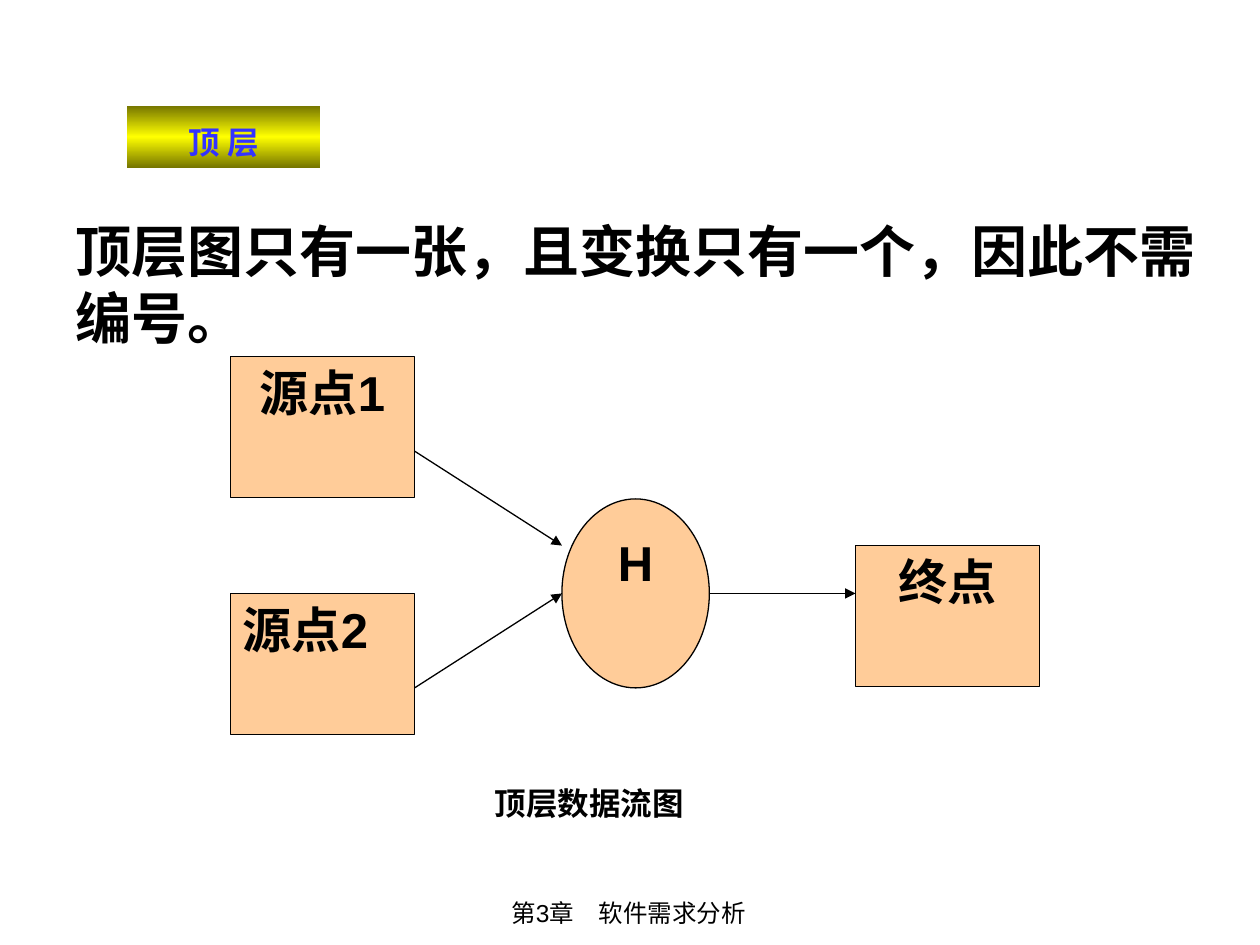
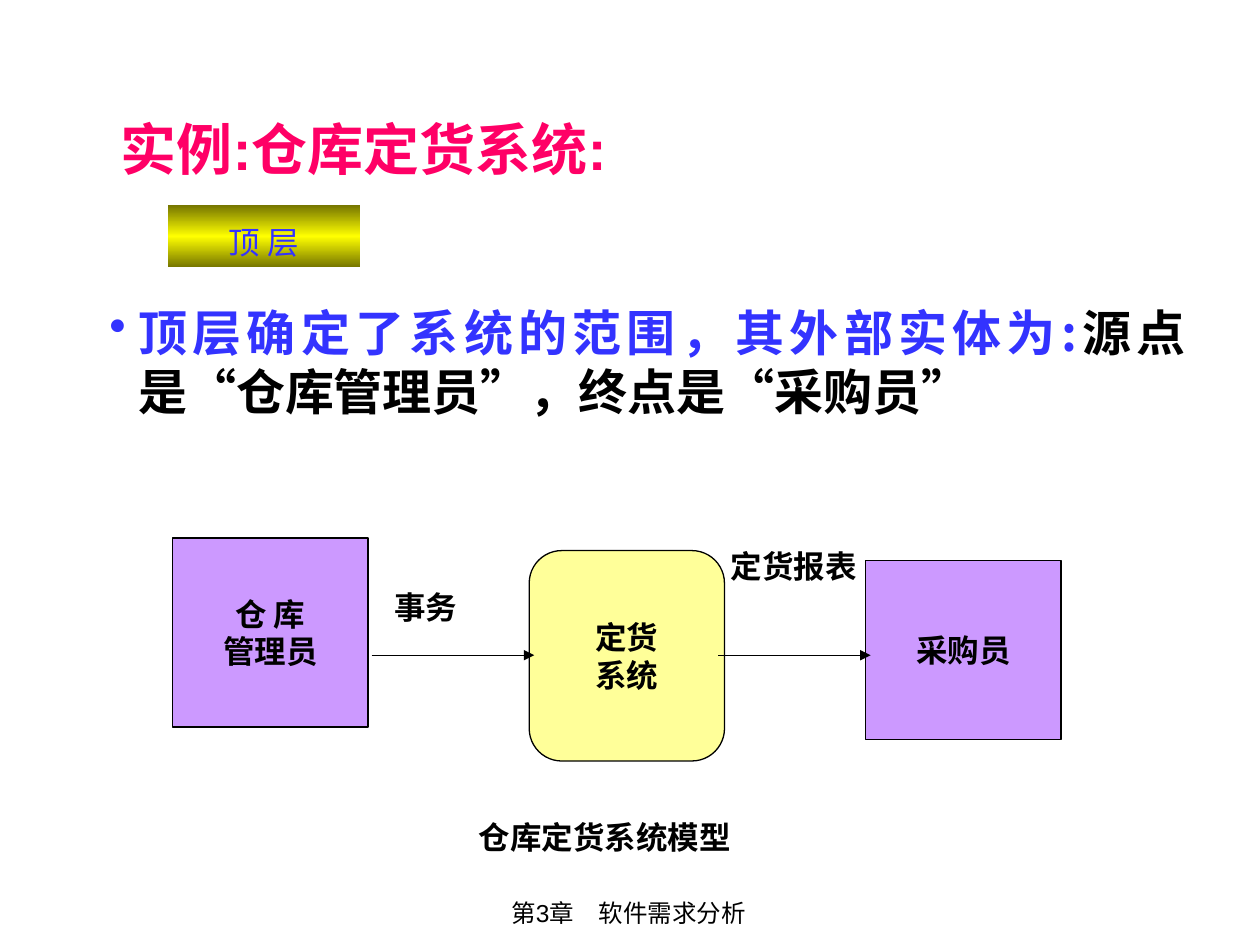
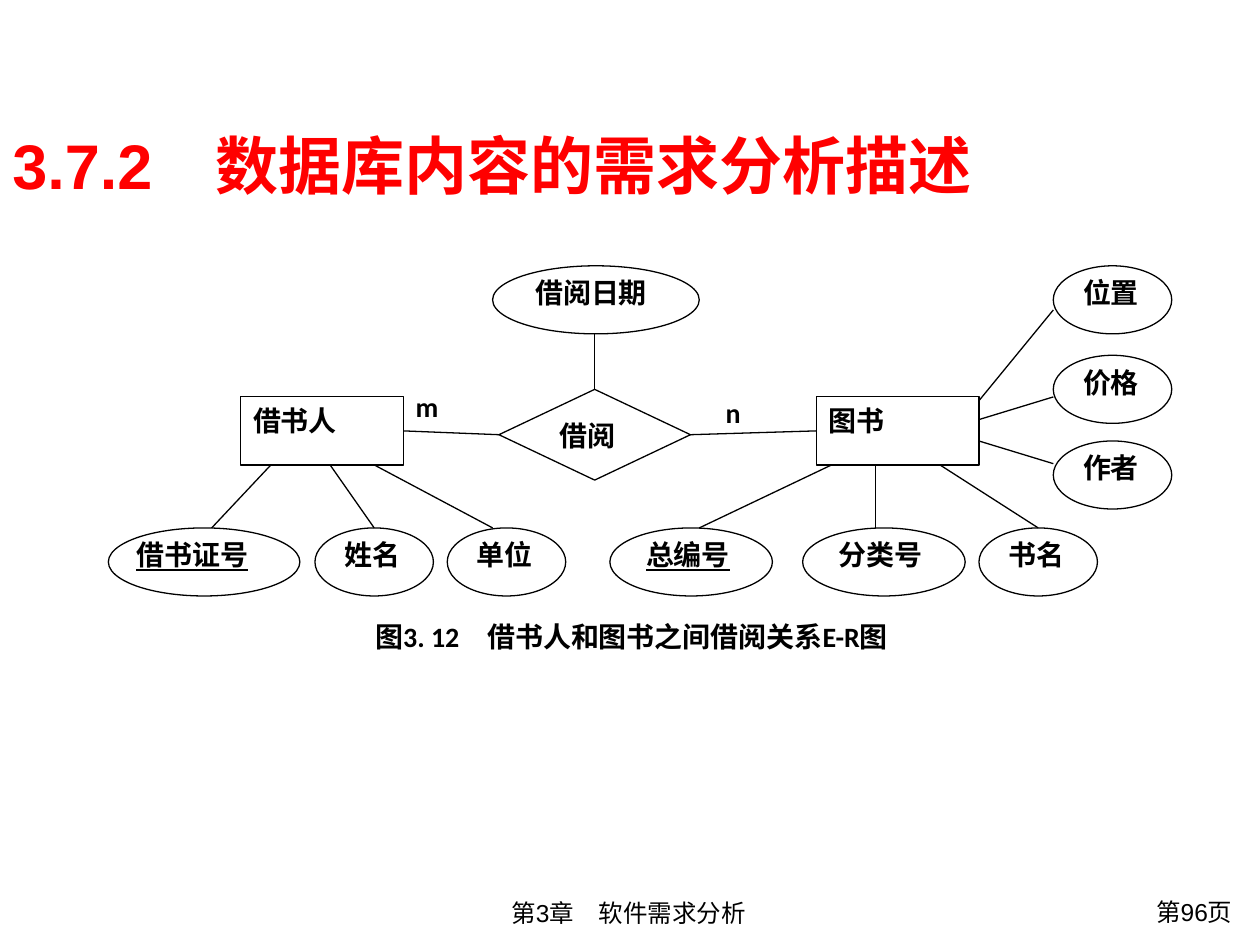
from copy import deepcopy

from lxml import etree
from pptx import Presentation
from pptx.dml.color import RGBColor
from pptx.enum.shapes import MSO_CONNECTOR, MSO_SHAPE as SHAPE
from pptx.enum.text import MSO_ANCHOR as ANCHOR, PP_ALIGN as ALIGN
from pptx.oxml.ns import qn
from pptx.util import Inches, Pt

# Shared style
BLACK = RGBColor(0x00, 0x00, 0x00)
WHITE = RGBColor(0xFF, 0xFF, 0xFF)
RED = RGBColor(0xFF, 0x00, 0x00)
PINK = RGBColor(0xFF, 0x00, 0x66)
BLUE = RGBColor(0x33, 0x33, 0xFF)
ORANGE = RGBColor(0xFF, 0xCC, 0x99)
PURPLE = RGBColor(0xCC, 0x99, 0xFF)
PALE_YELLOW = RGBColor(0xFF, 0xFF, 0x99)
YELLOW = RGBColor(0xFF, 0xFF, 0x00)
OLIVE = RGBColor(0x76, 0x76, 0x00)
CJK_FONT = "Noto Sans CJK SC"
QUOTE_FONT = "Times New Roman"
ER_STYLE = {"size": 16, "font": "Calibri"}
LINE_WIDTH = Pt(0.75)
FOOTER = "第3章　软件需求分析"
BADGE = "顶 层"

# Slide 1: top-level data flow diagram
FLOW_STATEMENT = "顶层图只有一张，且变换只有一个，因此不需编号。"
FLOW_CAPTION = "顶层数据流图"
FLOW_NODES = [  # text, preset, box, alignment
    ("H", SHAPE.OVAL, (4.46, 3.96, 1.17, 1.5), ALIGN.CENTER),
    ("源点1", SHAPE.FLOWCHART_PROCESS, (1.83, 2.83, 1.46, 1.12), ALIGN.CENTER),
    ("源点2", SHAPE.FLOWCHART_PROCESS, (1.83, 4.71, 1.46, 1.12), ALIGN.LEFT),
    ("终点", SHAPE.FLOWCHART_PROCESS, (6.79, 4.33, 1.46, 1.12), ALIGN.CENTER),
]
FLOW_ARROWS = [
    (3.29, 3.58, 4.46, 4.33),
    (3.29, 5.46, 4.46, 4.71),
    (5.63, 4.71, 6.79, 4.71),
]

# Slide 2: warehouse ordering system
ORDER_TITLE = "实例:仓库定货系统:"
ORDER_STATEMENT = [  # text, colour, font
    ("顶层确定了系统的范围，其外部实体为:", BLUE, CJK_FONT),
    ("源点是", BLACK, CJK_FONT),
    ("“", BLACK, QUOTE_FONT),
    ("仓库管理员", BLACK, CJK_FONT),
    ("”", BLACK, QUOTE_FONT),
    ("，终点是", BLACK, CJK_FONT),
    ("“", BLACK, QUOTE_FONT),
    ("采购员", BLACK, CJK_FONT),
    ("”", BLACK, QUOTE_FONT),
]
ORDER_NODES = [  # text, preset, box, fill
    ("仓 库\n管理员", SHAPE.RECTANGLE, (1.37, 4.27, 1.55, 1.5), PURPLE),
    ("定货\n系统", SHAPE.ROUNDED_RECTANGLE, (4.2, 4.37, 1.55, 1.67), PALE_YELLOW),
    ("采购员", SHAPE.RECTANGLE, (6.87, 4.45, 1.55, 1.42), PURPLE),
]
ORDER_ARROWS = [(2.95, 5.2, 4.24, 5.2), (5.7, 5.2, 6.91, 5.2)]
ORDER_LABELS = [
    ("仓库定货系统模型", (3.7, 6.44, 3, 0.4)),
    ("事务", (3.03, 4.62, 1.12, 0.4)),
    ("定货报表", (5.7, 4.29, 1.21, 0.4)),
]

# Slide 3: entity-relationship diagram
ER_TITLE = "3.7.2　数据库内容的需求分析描述"
ER_CAPTION = "图3. 12　借书人和图书之间借阅关系E-R图"
PAGE_NUMBER = "第96页"
ENTITY_SIZE = (1.29, 0.54)
ENTITIES = {"borrower": ("借书人", 1.91, 3.15), "book": ("图书", 6.48, 3.15)}
RELATION = ("借阅", (3.96, 3.09, 1.52, 0.72))
ATTRIBUTE_HEIGHT = 0.54
ATTRIBUTES = [  # text, left, top, width
    ("借阅日期", 3.91, 2.11, 1.64),
    ("位置", 8.36, 2.11, 0.94),
    ("价格", 8.36, 2.82, 0.94),
    ("作者", 8.36, 3.5, 0.94),
    ("借书证号", 0.86, 4.19, 1.52),
    ("姓名", 2.5, 4.19, 0.94),
    ("单位", 3.55, 4.19, 0.94),
    ("总编号", 4.84, 4.19, 1.29),
    ("分类号", 6.37, 4.19, 1.29),
    ("书名", 7.77, 4.19, 0.94),
]
KEY_INSETS = {"借书证号": 0, "总编号": 0.1}  # underlined keys and left insets
LOWER_LINKS = [(2.15, 1.68), (2.62, 2.97), (2.97, 3.91),
               (6.6, 5.55), (6.95, 6.95), (7.46, 8.24)]  # x at entity, attribute
RIGHT_LINKS = [(3.18, 2.46), (3.33, 3.15), (3.5, 3.68)]  # y at book, attribute
CARDINALITIES = [("m", (3.2, 3.04, 0.82, 0.54)), ("n", (5.66, 3.09, 0.82, 0.54))]


def style_run(run, size, color=BLACK, bold=True, font="Arial", underline=None):
    run.font.size = Pt(size)
    run.font.bold = bold
    run.font.underline = underline
    run.font.name = font
    run.font.color.rgb = color
    east_asian = etree.SubElement(run._r.get_or_add_rPr(), qn("a:ea"))
    east_asian.set("typeface", CJK_FONT)


def set_frame(shape, anchor=ANCHOR.TOP, wrap=True, left=0.1, top=0.05):
    text_frame = shape.text_frame
    text_frame.word_wrap = wrap
    text_frame.vertical_anchor = anchor
    text_frame.margin_left, text_frame.margin_top = Inches(left), Inches(top)
    text_frame.margin_right, text_frame.margin_bottom = Inches(0.1), Inches(0.05)
    return text_frame


def write(shape, text, size, align=ALIGN.LEFT, frame=None, **run_style):
    text_frame = set_frame(shape, **(frame or {}))
    text_frame.text = text
    for paragraph in text_frame.paragraphs:
        paragraph.alignment = align
        for run in paragraph.runs:
            style_run(run, size, **run_style)


def add_text(slide, box, text, size, **style):
    shape = slide.shapes.add_textbox(*map(Inches, box))
    write(shape, text, size, **style)


def add_node(slide, preset, box, fill, text, size, line=BLACK, **style):
    shape = slide.shapes.add_shape(preset, *map(Inches, box))
    shape.shadow.inherit = False
    shape.fill.solid()
    shape.fill.fore_color.rgb = fill
    shape.line.color.rgb = line
    shape.line.width = LINE_WIDTH
    write(shape, text, size, **style)
    return shape


def add_line(slide, ends, arrow=False):
    line = slide.shapes.add_connector(MSO_CONNECTOR.STRAIGHT, *map(Inches, ends))
    line.line.color.rgb = BLACK
    line.line.width = LINE_WIDTH
    if arrow:
        tail = etree.SubElement(line.line._get_or_add_ln(), qn("a:tailEnd"))
        tail.set("type", "triangle")
    etree.SubElement(line._element.spPr, qn("a:effectLst"))
    return line


def add_badge(slide, left, top, bold):
    badge = slide.shapes.add_shape(
        SHAPE.RECTANGLE, *map(Inches, (left, top, 1.53, 0.49)))
    badge.shadow.inherit = False
    badge.line.fill.background()
    badge.fill.gradient()
    badge.fill.gradient_angle = 90
    stop_list = badge._element.spPr.find(".//" + qn("a:gsLst"))
    stop_list.insert(1, deepcopy(stop_list[0]))
    stops = zip(badge.fill.gradient_stops, (0, 0.5, 1), (OLIVE, YELLOW, OLIVE))
    for stop, position, color in stops:
        stop.position = position
        stop.color.rgb = color
    write(badge, BADGE, 18, align=ALIGN.CENTER, color=BLUE, bold=bold)
    badge.text_frame.paragraphs[0].line_spacing = 1.3


def new_slide(presentation):
    slide = presentation.slides.add_slide(presentation.slide_layouts[6])
    add_text(slide, (2.35, 7.08, 5.28, 0.34), FOOTER, 14,
             align=ALIGN.CENTER, bold=False)
    return slide


def build_flow_slide(presentation):
    slide = new_slide(presentation)
    for text, preset, box, align in FLOW_NODES:
        add_node(slide, preset, box, ORANGE, text, 28, align=align)
    for ends in FLOW_ARROWS:
        add_line(slide, ends, arrow=True)
    add_badge(slide, 1.01, 0.84, bold=True)
    add_text(slide, (3.83, 6.17, 3.42, 0.4), FLOW_CAPTION, 18)
    add_text(slide, (0.5, 1.67, 9.5, 1.17), FLOW_STATEMENT, 32, font=CJK_FONT)


def add_order_statement(slide):
    shape = slide.shapes.add_textbox(*map(Inches, (0.77, 2.35, 8.74, 1.04)))
    paragraph = set_frame(shape).paragraphs[0]
    paragraph.alignment = ALIGN.JUSTIFY
    properties = paragraph._p.get_or_add_pPr()
    properties.set("marL", str(Inches(0.23)))
    properties.set("indent", str(-Inches(0.23)))
    bullet_color = etree.SubElement(properties, qn("a:buClr"))
    etree.SubElement(bullet_color, qn("a:srgbClr")).set("val", str(BLUE))
    etree.SubElement(properties, qn("a:buChar")).set("char", "•")
    for text, color, font in ORDER_STATEMENT:
        run = paragraph.add_run()
        run.text = text
        style_run(run, 28, color=color, font=font)


def build_order_slide(presentation):
    slide = new_slide(presentation)
    for text, preset, box, fill in ORDER_NODES:
        add_node(slide, preset, box, fill, text, 18, align=ALIGN.CENTER,
                 frame={"anchor": ANCHOR.MIDDLE, "wrap": False})
    for ends in ORDER_ARROWS:
        add_line(slide, ends, arrow=True)
    for text, box in ORDER_LABELS:
        add_text(slide, box, text, 18)
    add_text(slide, (0.86, 0.86, 5.75, 0.64), ORDER_TITLE, 32, color=PINK)
    add_badge(slide, 1.33, 1.63, bold=False)
    add_order_statement(slide)


def build_er_slide(presentation):
    slide = new_slide(presentation)
    add_text(slide, (8.54, 7.07, 1.34, 0.37), PAGE_NUMBER, 14,
             align=ALIGN.RIGHT, bold=False)
    add_text(slide, (0, 0.83, 9.77, 0.95), ER_TITLE, 36, color=RED,
             frame={"anchor": ANCHOR.MIDDLE})

    # Entities, relation and attributes
    entities = {
        name: add_node(slide, SHAPE.RECTANGLE, (left, top, *ENTITY_SIZE),
                       WHITE, text, **ER_STYLE)
        for name, (text, left, top) in ENTITIES.items()
    }
    relation_text, relation_box = RELATION
    relation = add_node(slide, SHAPE.FLOWCHART_DECISION, relation_box, WHITE,
                        relation_text, **ER_STYLE)
    for text, left, top, width in ATTRIBUTES:
        add_node(slide, SHAPE.OVAL, (left, top, width, ATTRIBUTE_HEIGHT), WHITE,
                 text, underline=text in KEY_INSETS or None,
                 frame={"left": KEY_INSETS.get(text, 0.1), "top": 0}, **ER_STYLE)

    # Links between entities and relation
    borrower_link = add_line(slide, (3.2, 3.42, 3.96, 3.45))
    borrower_link.begin_connect(entities["borrower"], 3)
    borrower_link.end_connect(relation, 1)
    book_link = add_line(slide, (5.48, 3.45, 6.48, 3.42))
    book_link.begin_connect(relation, 3)
    book_link.end_connect(entities["book"], 1)
    date_link = add_line(slide, (4.72, 2.65, 4.72, 3.09))
    date_link.end_connect(relation, 0)

    # Links to attributes
    for entity_x, attribute_x in LOWER_LINKS:
        add_line(slide, (entity_x, 3.69, attribute_x, 4.19))
    for book_y, attribute_y in RIGHT_LINKS:
        add_line(slide, (7.77, book_y, 8.36, attribute_y))

    for text, box in CARDINALITIES:
        add_text(slide, box, text, **ER_STYLE)
    add_node(slide, SHAPE.RECTANGLE, (2.88, 4.87, 4.32, 0.64), WHITE, ER_CAPTION,
             line=WHITE, align=ALIGN.JUSTIFY, **ER_STYLE)


def main():
    presentation = Presentation()
    presentation.slide_width, presentation.slide_height = Inches(10), Inches(7.5)
    build_flow_slide(presentation)
    build_order_slide(presentation)
    build_er_slide(presentation)
    presentation.save("out.pptx")


if __name__ == "__main__":
    main()
